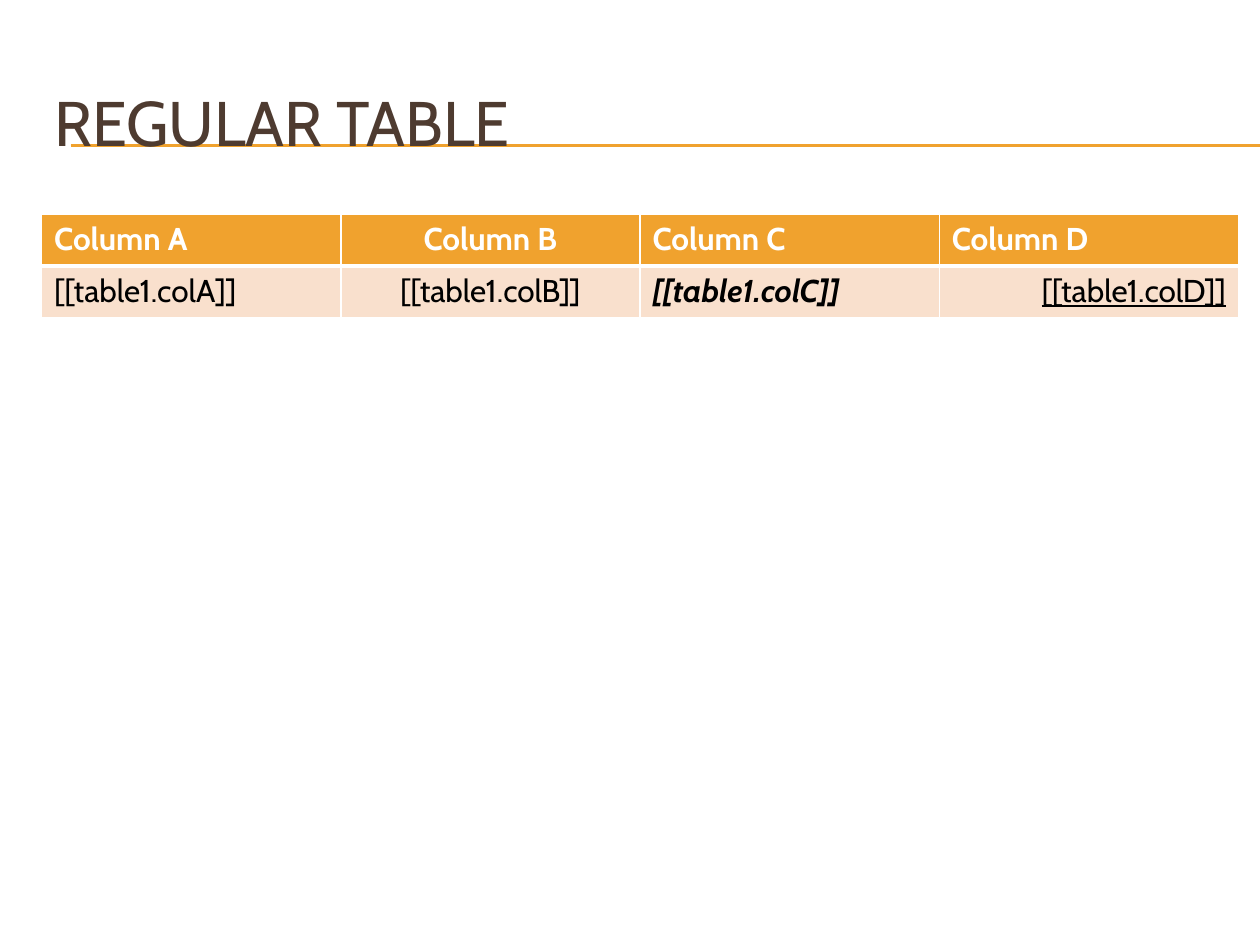
from dataclasses import dataclass

from lxml import etree
from pptx import Presentation
from pptx.dml.color import RGBColor
from pptx.enum import shapes, text
from pptx.oxml import ns
from pptx import util as u

COLORS = {
    "accent": "F0A22E",
    "title": "4E3B30",
    "body_fill": "F9E0CD",
    "white": "FFFFFF",
    "black": "000000",
}
FONT = "Cabin"
LEFT, WIDTH = 0.33, 9.5
ROW_HEIGHT = 0.41
THIN, THICK = 1, 3


@dataclass
class Column:
    header: str
    value: str
    header_align: text.PP_ALIGN = text.PP_ALIGN.LEFT
    value_align: text.PP_ALIGN = text.PP_ALIGN.LEFT
    bold: bool = False
    italic: bool = False
    underline: bool = False


COLUMNS = [
    Column("Column A", "[[table1.colA]]"),
    Column("Column B", "[[table1.colB]]", text.PP_ALIGN.CENTER, text.PP_ALIGN.CENTER),
    Column("Column C", "[[table1.colC]]", bold=True, italic=True),
    Column("Column D", "[[table1.colD]]", value_align=text.PP_ALIGN.RIGHT, underline=True),
]


def color(name: str) -> RGBColor:
    return RGBColor.from_string(COLORS[name])


def write_text(frame, content: str, *, size: float, color_name: str,
               align=text.PP_ALIGN.LEFT, bold=False, italic=False, underline=False) -> None:
    paragraph = frame.paragraphs[0]
    paragraph.alignment = align
    run = paragraph.add_run()
    run.text = content
    font = run.font
    font.name, font.size = FONT, u.Pt(size)
    font.bold, font.italic, font.underline = bold, italic, underline
    font.color.rgb = color(color_name)


def add_rule(slide, y: float) -> None:
    """Draw a horizontal rule behind the title."""
    rule = slide.shapes.add_connector(
        shapes.MSO_CONNECTOR.STRAIGHT, u.Inches(0.56), u.Inches(y), u.Inches(10), u.Inches(y))
    rule.line.color.rgb = color("accent")
    rule.line.width = u.Pt(0.75)
    etree.SubElement(rule.element.spPr, ns.qn("a:effectLst"))
    slide.shapes.title.element.addprevious(rule.element)


def add_title(slide, content: str) -> None:
    title = slide.shapes.title
    title.left, title.top = u.Inches(LEFT), u.Inches(0.5)
    title.width, title.height = u.Inches(WIDTH), u.Inches(0.92)
    title.text_frame.vertical_anchor = text.MSO_ANCHOR.MIDDLE
    write_text(title.text_frame, content, size=36, color_name="title")


def set_borders(cell, top: float, bottom: float) -> None:
    properties = cell._tc.get_or_add_tcPr()
    for side, width in (("L", THIN), ("R", THIN), ("T", top), ("B", bottom)):
        border = etree.SubElement(properties, ns.qn(f"a:ln{side}"), w=str(u.Pt(width)))
        fill = etree.SubElement(border, ns.qn("a:solidFill"))
        etree.SubElement(fill, ns.qn("a:srgbClr"), val=COLORS["white"])


def format_cell(cell, fill_name: str, top: float, bottom: float) -> None:
    set_borders(cell, top, bottom)
    cell.fill.solid()
    cell.fill.fore_color.rgb = color(fill_name)


def add_column_table(slide, columns: list[Column]) -> None:
    table = slide.shapes.add_table(
        2, len(columns), u.Inches(LEFT), u.Inches(1.7),
        u.Inches(WIDTH), u.Inches(2 * ROW_HEIGHT)).table
    for index, column in enumerate(columns):
        header, value = table.cell(0, index), table.cell(1, index)
        format_cell(header, "accent", THIN, THICK)
        format_cell(value, "body_fill", THICK, THIN)
        write_text(header.text_frame, column.header, size=18, color_name="white",
                   align=column.header_align, bold=True)
        write_text(value.text_frame, column.value, size=18, color_name="black",
                   align=column.value_align, bold=column.bold,
                   italic=column.italic, underline=column.underline)


def main() -> None:
    presentation = Presentation()
    presentation.slide_width, presentation.slide_height = u.Inches(10), u.Inches(7.5)
    slide = presentation.slides.add_slide(presentation.slide_layouts[5])

    # Double rule and title
    for y in (1.15, 1.16):
        add_rule(slide, y)
    add_title(slide, "REGULAR TABLE")

    # Table
    add_column_table(slide, COLUMNS)

    presentation.save("out.pptx")


if __name__ == "__main__":
    main()
